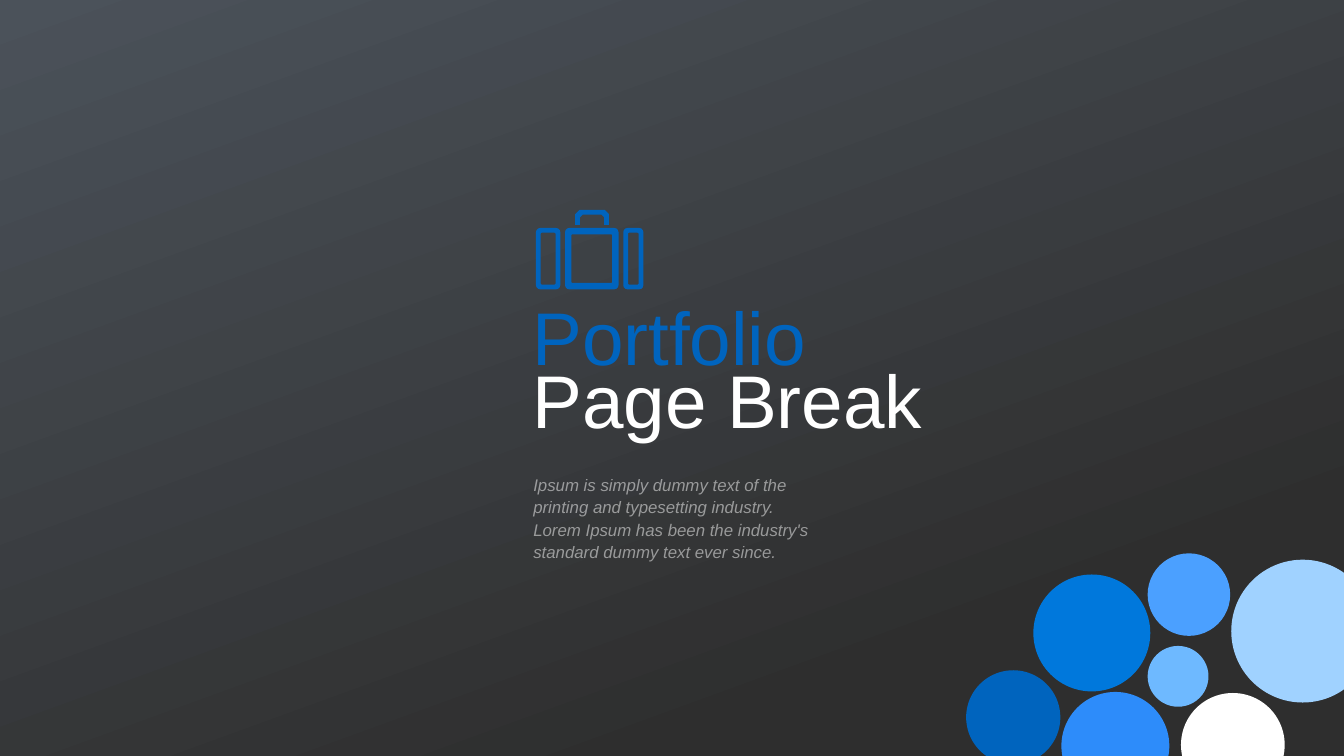
import math
from lxml import etree
from pptx import Presentation
from pptx import util as u
from pptx.dml.color import RGBColor
from pptx.enum import shapes, text
from pptx.oxml.ns import qn

COLORS = {
    "dark": "2E2E2E", "slate": "4B525A", "white": "FFFFFF",
    "navy": "0064BE", "blue": "0078DC", "azure": "2D8CFA",
    "sky": "4BA0FF", "light": "6EB9FF", "pale": "A0D2FF",
}
CIRCLES = [
    (3.43, 0, 1.56, "sky"), (0, 2.21, 1.78, "navy"), (1.27, 0.4, 2.21, "blue"),
    (1.8, 2.62, 2.04, "azure"), (3.43, 1.75, 1.15, "light"),
    (5.01, 0.12, 2.7, "pale"), (4.06, 2.64, 1.96, "white"),
]
CASE_PARTS = [(0, 0.46, 0.09), (0.55, 1.56, 0.12), (1.65, 2.03, 0.09)]
HANDLE = [
    (0.74, 0.28), (0.74, 0.08), (0.82, 0), (1.3, 0), (1.38, 0.08), (1.38, 0.28),
    (1.29, 0.28), (1.29, 0.14), (1.24, 0.09), (0.88, 0.09), (0.83, 0.14), (0.83, 0.28),
]


def color(name):
    """Return the named colour."""
    return RGBColor.from_string(COLORS[name])


def add_plain_shape(slide, kind, left, top, width, height):
    """Add a preset shape without line or shadow; lengths in cm."""
    shape = slide.shapes.add_shape(kind, *map(u.Cm, (left, top, width, height)))
    shape.shadow.inherit = False
    shape.line.fill.background()
    return shape


def add_backdrop(slide, left, top, width, height):
    """Cover the box with the dark diagonal gradient."""
    fill = add_plain_shape(slide, shapes.MSO_SHAPE.RECTANGLE, left, top, width, height).fill
    fill.gradient()
    fill.gradient_angle = 110
    for stop, (position, name) in zip(fill.gradient_stops, [(0.2, "dark"), (1, "slate")]):
        stop.position = position
        stop.color.rgb = color(name)


def add_circles(slide, left, top):
    """Scatter the circles from the top left of their box."""
    for x, y, size, name in CIRCLES:
        circle = add_plain_shape(slide, shapes.MSO_SHAPE.OVAL, left + x, top + y, size, size)
        circle.fill.solid()
        circle.fill.fore_color.rgb = color(name)


def rounded_outline(left, top, right, bottom, radius):
    """Return the points of a rounded rectangle, clockwise."""
    centers = [(right - radius, bottom - radius), (left + radius, bottom - radius),
               (left + radius, top + radius), (right - radius, top + radius)]
    return [(x + radius * math.cos(math.radians(90 * corner + step)),
             y + radius * math.sin(math.radians(90 * corner + step)))
            for corner, (x, y) in enumerate(centers) for step in (0, 30, 60, 90)]


def add_suitcase(slide, left, top):
    """Draw the suitcase icon from the top left of its box."""
    contours = [HANDLE]
    for start, end, edge in CASE_PARTS:
        contours.append(rounded_outline(start, 0.34, end, 1.5, 0.08))
        hole = rounded_outline(start + edge, 0.34 + edge, end - edge, 1.5 - edge, 0.02)
        contours.append(hole[::-1])
    contours = [[(u.Cm(left + x), u.Cm(top + y)) for x, y in contour] for contour in contours]
    builder = slide.shapes.build_freeform(*contours[0][0])
    builder.add_line_segments(contours[0][1:])
    for contour in contours[1:]:
        builder.move_to(*contour[0])
        builder.add_line_segments(contour[1:])
    icon = builder.convert_to_shape()
    icon.shadow.inherit = False
    icon.line.fill.background()
    icon.fill.solid()
    icon.fill.fore_color.rgb = color("navy")


def prepare_frame(shape):
    """Set up a wrapped, vertically centred text frame without margins."""
    frame = shape.text_frame
    frame.word_wrap = True
    frame.auto_size = text.MSO_AUTO_SIZE.NONE
    frame.vertical_anchor = text.MSO_ANCHOR.MIDDLE
    frame.margin_left = frame.margin_top = frame.margin_right = frame.margin_bottom = 0
    return frame


def add_line(paragraph, words, size, name, spacing):
    """Write one left-aligned run and return it."""
    paragraph.alignment = text.PP_ALIGN.LEFT
    paragraph.line_spacing = spacing
    paragraph.space_before = u.Pt(0)
    run = paragraph.add_run()
    run.text = words
    run.font.name = "Arial"
    run.font.size = u.Pt(size)
    run.font.color.rgb = color(name)
    return run


def place_title(slide, left, top, width, height):
    """Move the title placeholder into its box, in front of the backdrop."""
    title = slide.shapes.title
    title.left, title.top, title.width, title.height = map(u.Cm, (left, top, width, height))
    slide.shapes._spTree.append(title._element)
    frame = prepare_frame(title)
    add_line(frame.paragraphs[0], "Portfolio", 40, "navy", 0.7)
    add_line(frame.add_paragraph(), "Page Break", 40, "white", 0.7)


def add_description(slide, left, top, width, height):
    """Add the half-transparent italic description."""
    box = slide.shapes.add_textbox(*map(u.Cm, (left, top, width, height)))
    words = ("Ipsum is simply dummy text of the printing and typesetting industry. "
             "Lorem Ipsum has been the industry's standard dummy text ever since.")
    run = add_line(prepare_frame(box).paragraphs[0], words, 9, "white", u.Pt(12))
    run.font.italic = True
    tint = run._r.find(".//" + qn("a:srgbClr"))
    etree.SubElement(tint, qn("a:alpha")).set("val", "50000")


def main():
    """Build the section slide and save it."""
    presentation = Presentation()
    presentation.slide_width = u.Cm(25.4)
    presentation.slide_height = u.Cm(14.29)
    slide = presentation.slides.add_slide(presentation.slide_layouts[5])
    add_backdrop(slide, -0.03, 0, 25.53, 14.35)
    add_circles(slide, 18.26, 10.46)
    place_title(slide, 10.06, 5.64, 7.65, 3.02)
    add_description(slide, 10.08, 8.81, 5.36, 1.93)
    add_suitcase(slide, 10.13, 3.97)
    presentation.save("out.pptx")


if __name__ == "__main__":
    main()
